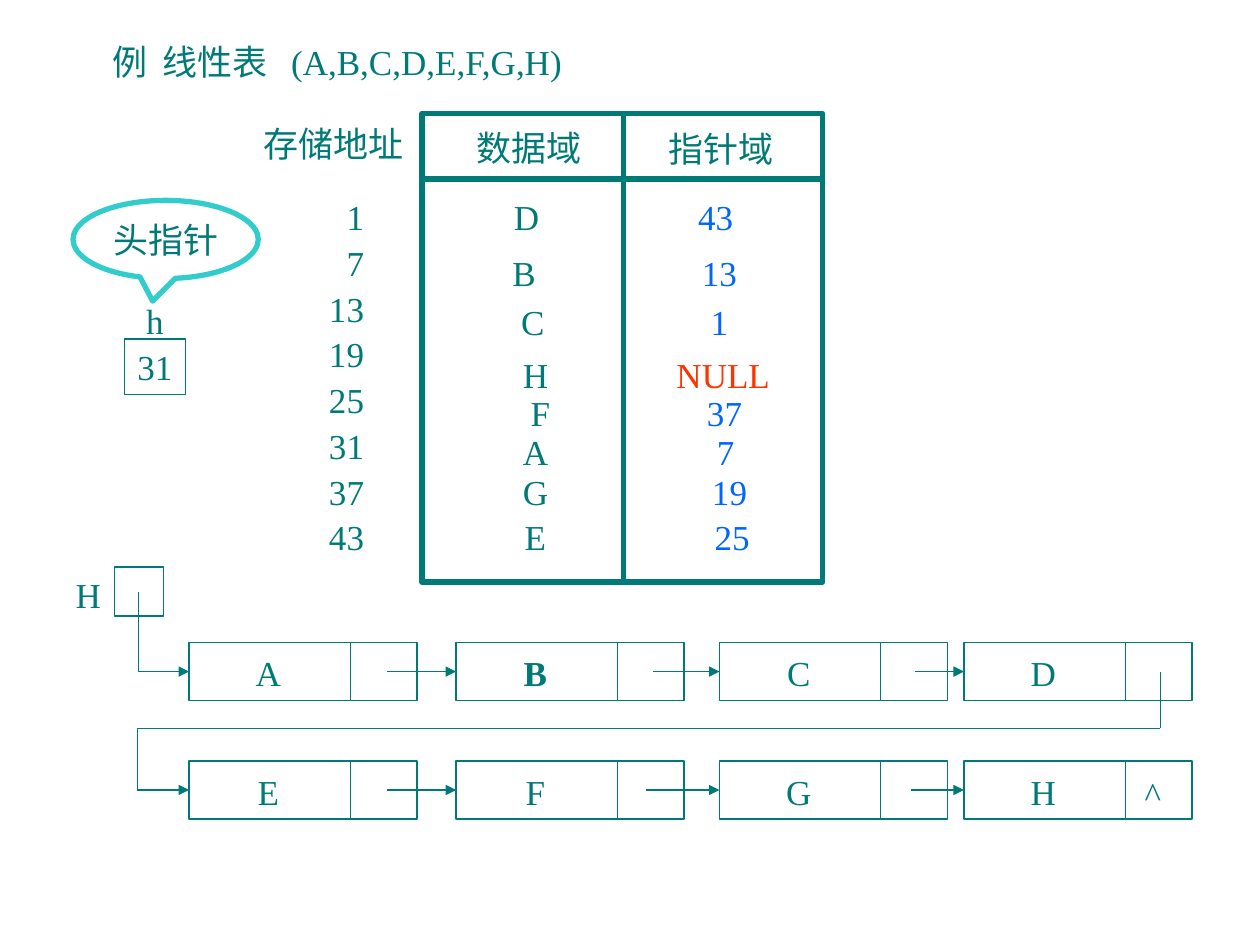
from pptx import Presentation
from pptx.dml.color import RGBColor
from pptx.enum.shapes import MSO_CONNECTOR, MSO_SHAPE
from pptx.enum.text import MSO_ANCHOR, MSO_AUTO_SIZE, PP_ALIGN
from pptx.oxml.ns import qn
from pptx.util import Inches, Pt
from lxml.etree import SubElement

COLUMNS, ROWS = 100, 75
TEAL, BLUE, RED, CYAN = "007A77", "0066FF", "FF3300", "33CCCC"
THIN, THICK = 0.75, 3


def color(value):
    return RGBColor.from_string(value)


class Board:
    """Draws on one slide; lengths are columns and rows of the grid."""

    font_name, font_size, text_height = "Times New Roman", 20, 4.4

    def __init__(self, deck):
        self.column = deck.slide_width / COLUMNS
        self.row = deck.slide_height / ROWS
        self.slide = deck.slides.add_slide(deck.slide_layouts[5])

    def place(self, left, top, width, height):
        return (round(left * self.column), round(top * self.row),
                round(width * self.column), round(height * self.row))

    def set_text(self, shape, text, ink=TEAL, align=PP_ALIGN.CENTER, bold=False, tabs=()):
        frame = shape.text_frame
        frame.text = text
        frame.word_wrap = False
        frame.auto_size = MSO_AUTO_SIZE.NONE
        frame.vertical_anchor = MSO_ANCHOR.MIDDLE
        paragraph = frame.paragraphs[0]
        paragraph.alignment = align
        if tabs:
            tab_list = SubElement(paragraph._p.get_or_add_pPr(), qn("a:tabLst"))
            for stop in tabs:
                SubElement(tab_list, qn("a:tab"), pos=str(round(stop * self.column)), algn="l")
        font = paragraph.font
        font.name, font.size, font.bold = self.font_name, Pt(self.font_size), bold
        font.color.rgb = color(ink)

    def title(self, text, left, top, width, tabs):
        title = self.slide.shapes.title
        title.left, title.top, title.width, title.height = self.place(
            left, top, width, self.text_height)
        self.set_text(title, text, align=PP_ALIGN.LEFT, tabs=tabs)

    def label(self, text, center, top, ink=TEAL, bold=False):
        """Puts one line of text around a centre column."""
        width = 3 + 2.6 * len(text)
        box = self.slide.shapes.add_textbox(
            *self.place(center - width / 2, top, width, self.text_height))
        self.set_text(box, text, ink, bold=bold)

    def outline(self, left, top, width, height, ink=TEAL, weight=THIN, kind=MSO_SHAPE.RECTANGLE):
        shape = self.slide.shapes.add_shape(kind, *self.place(left, top, width, height))
        shape.shadow.inherit = False
        shape.fill.background()
        shape.line.color.rgb = color(ink)
        shape.line.width = Pt(weight)
        return shape

    def line(self, start, end, weight=THIN, target=None):
        """Draws a line, or an arrow into the left side of a target."""
        begin_x, begin_y, end_x, end_y = self.place(*start, *end)
        line = self.slide.shapes.add_connector(
            MSO_CONNECTOR.STRAIGHT, begin_x, begin_y, end_x, end_y)
        line.line.color.rgb = color(TEAL)
        line.line.width = Pt(weight)
        if target is not None:
            line.end_connect(target, 1)
            SubElement(line.line._get_or_add_ln(), qn("a:tailEnd"), type="triangle")
        SubElement(line._element.spPr, qn("a:effectLst"))

    def route(self, points, target):
        """Draws joined lines whose last one is an arrow."""
        for start, end in zip(points[:-2], points[1:-1]):
            self.line(start, end)
        self.line(*points[-2:], target=target)


def draw_storage(board):
    left, top, right, bottom = 33.5, 9, 65.3, 46.2
    board.outline(left, top, right - left, bottom - top, weight=THICK)
    board.line((left, 14.2), (right, 14.2), THICK)
    board.line((49.5, top), (49.5, bottom), THICK)
    for text, center, row in (("存储地址", 26.5, 9.2), ("数据域", 42, 9.5), ("指针域", 57.2, 9.6)):
        board.label(text, center, row)

    first, step = 15, 3.63
    for index, address in enumerate(range(1, 44, 6)):
        board.label(str(address), 28.2 if address < 10 else 27.5, first + index * step)

    records = (  # row, letter and its centre, pointer and its centre
        (15, "D", 41.8, "43", 56.8), (19.4, "B", 41.6, "13", 57.1),
        (23.3, "C", 42.3, "1", 57.1), (27.5, "H", 42.5, "NULL", 57.4),
        (30.5, "F", 42.9, "37", 57.5), (33.6, "A", 42.5, "7", 57.6),
        (36.8, "G", 42.5, "19", 57.9), (40.4, "E", 42.5, "25", 58.1))
    for row, letter, letter_center, pointer, pointer_center in records:
        board.label(letter, letter_center, row)
        board.label(pointer, pointer_center, row, RED if pointer == "NULL" else BLUE)


def draw_head_pointer(board):
    callout = board.outline(5.8, 15.9, 14.7, 6.2, CYAN, THICK, MSO_SHAPE.OVAL_CALLOUT)
    callout.adjustments[0], callout.adjustments[1] = -0.07, 0.79
    board.set_text(callout, "头指针")
    board.label("h", 12.3, 23.2)
    board.set_text(board.outline(9.9, 26.9, 4.8, 4.4), "31")


def draw_chain(board):
    lefts = (15, 36.2, 57.1, 76.5)
    width, height, divider, letter_center = 18.1, 4.6, 12.8, 6.3
    first_nodes = []
    for letters, top, tails in (("ABCD", 51, (30.7, 51.8, 72.6)),
                                ("EFGH", 60.4, (30.7, 51.3, 72.3))):
        nodes = []
        for letter, left in zip(letters, lefts):
            nodes.append(board.outline(left, top, width, height))
            board.line((left + divider, top), (left + divider, top + height))
            board.label(letter, left + letter_center, top + 0.2, bold=letter == "B")
        middle = top + height / 2
        for tail, left, node in zip(tails, lefts[1:], nodes[1:]):
            board.line((tail, middle), (left, middle), target=node)
        first_nodes.append(nodes[0])
    board.label("^", 91.5, 60.8)

    board.label("H", 7, 45)
    board.outline(9.1, 45, 3.9, 3.9)
    board.route([(11, 47), (11, 53.3), (15, 53.3)], first_nodes[0])
    board.route([(92.1, 53.3), (92.1, 57.8), (10.9, 57.8), (10.9, 62.7), (15, 62.7)],
                first_nodes[1])


def main():
    deck = Presentation()
    deck.slide_width, deck.slide_height = Inches(10), Inches(7.5)
    board = Board(deck)
    board.title("例\t线性表\t(A,B,C,D,E,F,G,H)", 7.9, 2.7, 38, tabs=(4, 14.2))
    draw_storage(board)
    draw_head_pointer(board)
    draw_chain(board)
    deck.save("out.pptx")


if __name__ == "__main__":
    main()
